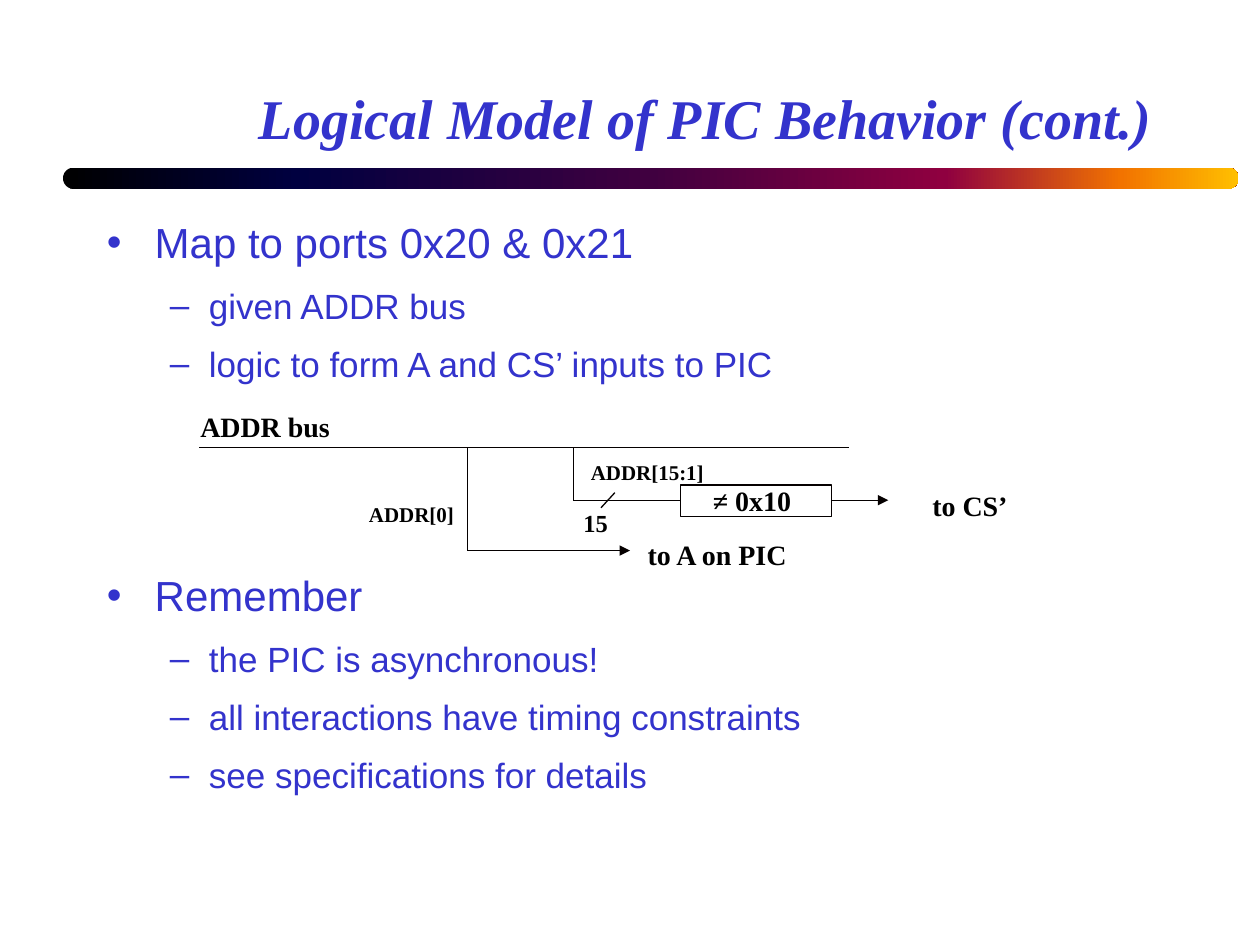
from dataclasses import dataclass

import pptx
import pptx.dml.color
import pptx.enum.shapes
import pptx.enum.text
import pptx.oxml
import pptx.oxml.ns
import pptx.util
from lxml import etree

Inches = pptx.util.Inches
Pt = pptx.util.Pt
RGBColor = pptx.dml.color.RGBColor
qn = pptx.oxml.ns.qn

BLUE = RGBColor(0x33, 0x33, 0xCC)
BLACK = RGBColor(0, 0, 0)
LINE = RGBColor(0x05, 0, 0)
BAR_STOPS = ((0, "000000"), (20, "000040"), (50, "400040"),
             (75, "8F0040"), (90, "F27300"), (100, "FFBF00"))
SERIF, SANS = "Times New Roman", "Arial"

# Shared heights and columns of the circuit
BUS_Y, SELECT_Y, A_Y = 3.55, 3.97, 4.37
A_X, SELECT_X = 3.71, 4.55
BOX_LEFT, BOX_RIGHT = 5.4, 6.6


@dataclass(frozen=True)
class Bullet:
    text: str
    level: int = 1
    before: float = 4.5


@dataclass(frozen=True)
class Wire:
    start: tuple[float, float]
    end: tuple[float, float]
    arrow: bool = False


@dataclass(frozen=True)
class Label:
    text: str
    box: tuple[float, float, float, float]
    size: int = 16
    padded: bool = False


@dataclass(frozen=True)
class BulletStyle:
    symbol: str
    size: int
    left: float
    hanging: float
    after: float


BULLET_STYLES = (BulletStyle("•", 24, 0.38, 0.38, 5.5),
                 BulletStyle("–", 20, 0.81, 0.31, 4.5))
DIAGRAM_GAP = 101.5  # points kept free for the circuit

BULLETS = (
    Bullet("Map to ports 0x20 & 0x21", 0, 5.5),
    Bullet("given ADDR bus"),
    Bullet("logic to form A and CS’ inputs to PIC"),
    Bullet("Remember", 0, DIAGRAM_GAP),
    Bullet("the PIC is asynchronous!"),
    Bullet("all interactions have timing constraints"),
    Bullet("see specifications for details"),
)
WIRES = (
    Wire((1.58, BUS_Y), (6.74, BUS_Y)),
    Wire((A_X, BUS_Y), (A_X, A_Y)),
    Wire((A_X, A_Y), (5, A_Y), arrow=True),
    Wire((SELECT_X, BUS_Y), (SELECT_X, SELECT_Y)),
    Wire((SELECT_X, SELECT_Y), (BOX_LEFT, SELECT_Y)),
    Wire((BOX_RIGHT, SELECT_Y), (7.05, SELECT_Y), arrow=True),
    Wire((4.88, 3.91), (4.77, 4.03)),
)
LABELS = (
    Label("ADDR bus", (1.59, 3.25, 1.04, 0.27)),
    Label("to A on PIC", (5.14, 4.27, 1.12, 0.27)),
    Label("to CS’", (7.4, 3.88, 0.6, 0.27)),
    Label("15", (4.63, 4.03, 0.2, 0.24), 14),
    Label("≠ 0x10", (5.56, 3.79, 0.83, 0.37), padded=True),
    Label("ADDR[0]", (2.83, 3.93, 0.88, 0.3), 12, True),
    Label("ADDR[15:1]", (4.59, 3.6, 1.11, 0.3), 12, True),
)


def add_run(paragraph, text: str, font: str, size: int, color: RGBColor,
            bold: bool = False, italic: bool = False) -> None:
    run = paragraph.add_run()
    run.text = text
    run.font.name = font
    run.font.size = Pt(size)
    run.font.color.rgb = color
    run.font.bold = bold
    run.font.italic = italic


def add_title(slide, text: str) -> None:
    title = slide.shapes.title
    title.left, title.top = Inches(0.75), Inches(0.25)
    title.width, title.height = Inches(8.5), Inches(1)
    title.text_frame.vertical_anchor = pptx.enum.text.MSO_ANCHOR.BOTTOM
    paragraph = title.text_frame.paragraphs[0]
    paragraph.alignment = pptx.enum.text.PP_ALIGN.RIGHT
    add_run(paragraph, text, SERIF, 32, BLUE, bold=True, italic=True)


def add_gradient_bar(slide) -> None:
    bar = slide.shapes.add_shape(
        pptx.enum.shapes.MSO_SHAPE.ROUNDED_RECTANGLE,
        Inches(0.5), Inches(1.33), Inches(9.33), Inches(0.17))
    bar.adjustments[0] = 0.5
    bar.shadow.inherit = False
    bar.line.fill.background()
    bar.fill.gradient()
    bar.fill.gradient_angle = 0
    stops = bar.fill._fill._gradFill.find(qn("a:gsLst"))
    for stop in list(stops):
        stops.remove(stop)
    for position, color in BAR_STOPS:
        stop = etree.SubElement(stops, qn("a:gs"), pos=str(position * 1000))
        etree.SubElement(stop, qn("a:srgbClr"), val=color)


def add_bullets(slide, bullets: tuple[Bullet, ...]) -> None:
    box = slide.shapes.add_textbox(
        Inches(0.75), Inches(1.67), Inches(8.5), Inches(5))
    frame = box.text_frame
    frame.word_wrap = True
    for index, bullet in enumerate(bullets):
        style = BULLET_STYLES[bullet.level]
        paragraph = frame.paragraphs[0] if index == 0 else frame.add_paragraph()
        paragraph.level = bullet.level
        paragraph.space_before = Pt(bullet.before)
        paragraph.space_after = Pt(style.after)
        properties = paragraph._p.get_or_add_pPr()
        properties.set("marL", str(Inches(style.left)))
        properties.set("indent", str(-Inches(style.hanging)))
        color = etree.SubElement(properties, qn("a:buClr"))
        etree.SubElement(color, qn("a:srgbClr"), val=str(BLUE))
        etree.SubElement(properties, qn("a:buFont"), typeface=SANS)
        etree.SubElement(properties, qn("a:buChar"), char=style.symbol)
        add_run(paragraph, bullet.text, SANS, style.size, BLUE)


def add_wire(slide, wire: Wire) -> None:
    connector = slide.shapes.add_connector(
        pptx.enum.shapes.MSO_CONNECTOR.STRAIGHT,
        *map(Inches, wire.start + wire.end))
    connector.line.color.rgb = LINE
    connector.line.width = Pt(0.75)
    if wire.arrow:
        etree.SubElement(connector.line._get_or_add_ln(), qn("a:tailEnd"),
                         type="triangle")
    etree.SubElement(connector._element.spPr, qn("a:effectLst"))


def add_comparator(slide) -> None:
    box = slide.shapes.add_shape(
        pptx.enum.shapes.MSO_SHAPE.RECTANGLE, Inches(BOX_LEFT), Inches(3.85),
        Inches(BOX_RIGHT - BOX_LEFT), Inches(0.25))
    box.shadow.inherit = False
    box.fill.background()
    box.line.color.rgb = LINE
    box.line.width = Pt(0.75)


def add_label(slide, label: Label) -> None:
    frame = slide.shapes.add_textbox(*map(Inches, label.box)).text_frame
    frame.word_wrap = False
    frame.auto_size = pptx.enum.text.MSO_AUTO_SIZE.SHAPE_TO_FIT_TEXT
    if not label.padded:
        frame.margin_left = frame.margin_right = 0
        frame.margin_top = frame.margin_bottom = 0
    add_run(frame.paragraphs[0], label.text, SERIF, label.size, BLACK, bold=True)


def main() -> None:
    presentation = pptx.Presentation()
    presentation.slide_width = Inches(10)
    presentation.slide_height = Inches(7.5)
    slide = presentation.slides.add_slide(presentation.slide_layouts[5])

    # Heading and text
    add_gradient_bar(slide)
    add_title(slide, "Logical Model of PIC Behavior (cont.)")
    add_bullets(slide, BULLETS)

    # Address decoding circuit
    for wire in WIRES:
        add_wire(slide, wire)
    add_comparator(slide)
    for label in LABELS:
        add_label(slide, label)

    presentation.save("out.pptx")


if __name__ == "__main__":
    main()
